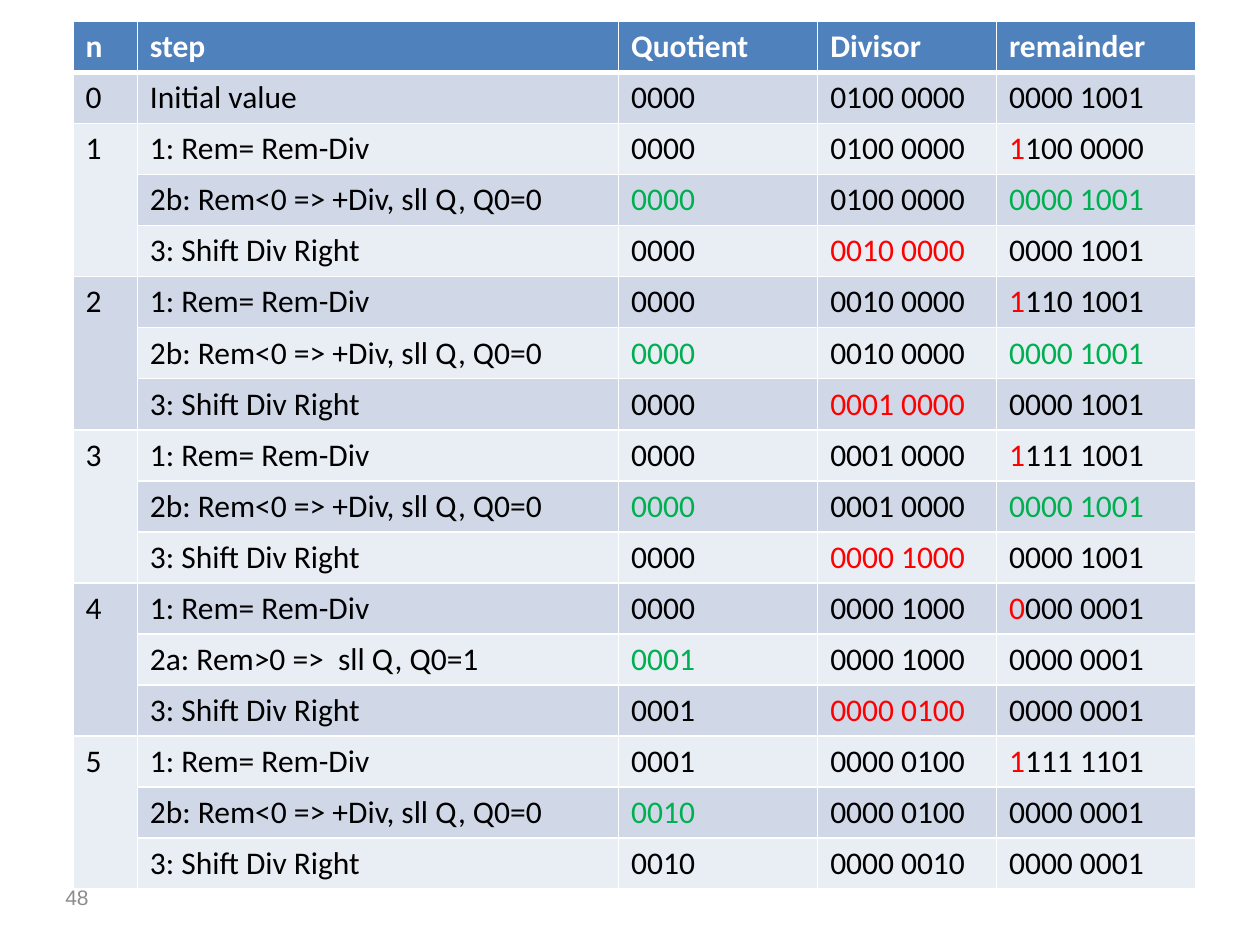
from dataclasses import dataclass

import lxml.etree
import pptx
import pptx.dml.color
import pptx.enum.text
import pptx.oxml.ns
import pptx.util

Inches = pptx.util.Inches
Pt = pptx.util.Pt


@dataclass(frozen=True)
class Theme:
    header: str = "4F81BD"
    bands: tuple = ("D0D8E8", "E9EDF4")
    white: str = "FFFFFF"
    black: str = "000000"
    red: str = "FF0000"
    green: str = "00B050"
    gray: str = "8C8C8C"
    table_font: str = "Calibri"
    number_font: str = "Arial"
    table_size: int = 18
    number_size: int = 12
    line: int = 1
    header_line: int = 3


THEME = Theme()
COLUMN_WIDTHS = (0.51, 3.82, 1.58, 1.42, 1.58)
TABLE_HEIGHT = 6.89
HEADINGS = ("n", "step", "Quotient", "Divisor", "remainder")
INITIAL = ("0", "Initial value", "0000", "0100 0000", "0000 1001")
SUBTRACT = "1: Rem= Rem-Div"
RESTORE = "2b: Rem<0 => +Div, sll Q, Q0=0"
KEEP = "2a: Rem>0 =>  sll Q, Q0=1"
SHIFT = "3: Shift Div Right"
STEPS_PER_ROUND = 3
ROUNDS = (
    (RESTORE, "0000", "0000", "0100 0000", "0010 0000", "1100 0000", "0000 1001"),
    (RESTORE, "0000", "0000", "0010 0000", "0001 0000", "1110 1001", "0000 1001"),
    (RESTORE, "0000", "0000", "0001 0000", "0000 1000", "1111 1001", "0000 1001"),
    (KEEP, "0000", "0001", "0000 1000", "0000 0100", "0000 0001", "0000 0001"),
    (RESTORE, "0001", "0010", "0000 0100", "0000 0010", "1111 1101", "0000 0001"),
)


def rgb(value):
    return pptx.dml.color.RGBColor.from_string(value)


def add_span(para, text, font, size, color, bold=False):
    span = para.add_run()
    span.text = text
    span.font.name = font
    span.font.size = Pt(size)
    span.font.bold = bold
    span.font.color.rgb = rgb(color)


def add_page_number(page, text):
    box = page.shapes.add_textbox(Inches(0.42), Inches(6.92), Inches(2.33), Inches(0.4))
    frame = box.text_frame
    frame.word_wrap = True
    frame.vertical_anchor = pptx.enum.text.MSO_ANCHOR.MIDDLE
    add_span(frame.paragraphs[0], text, THEME.number_font, THEME.number_size, THEME.gray)


def set_borders(cell, top, bottom):
    properties = cell._tc.get_or_add_tcPr()
    widths = {"lnL": THEME.line, "lnR": THEME.line, "lnT": top, "lnB": bottom}
    for side, width in widths.items():
        line = lxml.etree.SubElement(
            properties, pptx.oxml.ns.qn(f"a:{side}"), w=str(int(Pt(width)))
        )
        fill = lxml.etree.SubElement(line, pptx.oxml.ns.qn("a:solidFill"))
        lxml.etree.SubElement(fill, pptx.oxml.ns.qn("a:srgbClr"), val=THEME.white)


def style_cell(cell, row):
    top = THEME.header_line if row == 1 else THEME.line
    bottom = THEME.header_line if row == 0 else THEME.line
    set_borders(cell, top, bottom)
    cell.fill.solid()
    cell.fill.fore_color.rgb = rgb(THEME.bands[(row - 1) % 2] if row else THEME.header)


def fill_row(table, row, values, bold=False):
    for column, spans in enumerate(values):
        cell = table.cell(row, column)
        style_cell(cell, row)
        for text, color in spans:
            add_span(cell.text_frame.paragraphs[0], text, THEME.table_font,
                     THEME.table_size, color, bold)


def plain(text, color=THEME.black):
    return [(text, color)] if text else []


def round_rows(number, decision, quotient, next_quotient, divisor, next_divisor,
               difference, remainder):
    restored = decision == RESTORE and number < 4
    shift_color = THEME.red if number < len(ROUNDS) else THEME.black
    sign = plain(difference[0], THEME.red) + plain(difference[1:])
    return (
        (plain(str(number)), plain(SUBTRACT), plain(quotient), plain(divisor), sign),
        (plain(""), plain(decision), plain(next_quotient, THEME.green), plain(divisor),
         plain(remainder, THEME.green if restored else THEME.black)),
        (plain(""), plain(SHIFT), plain(next_quotient), plain(next_divisor, shift_color),
         plain(remainder)),
    )


def add_division_table(page):
    row_count = 2 + STEPS_PER_ROUND * len(ROUNDS)
    table = page.shapes.add_table(
        row_count, len(COLUMN_WIDTHS), Inches(0.58), Inches(0.17),
        Inches(sum(COLUMN_WIDTHS)), Inches(TABLE_HEIGHT),
    ).table
    for column, width in zip(table.columns, COLUMN_WIDTHS):
        column.width = Inches(width)
    for table_row in table.rows:
        table_row.height = Inches(TABLE_HEIGHT / row_count)

    fill_row(table, 0, [plain(text, THEME.white) for text in HEADINGS], bold=True)
    fill_row(table, 1, [plain(text) for text in INITIAL])
    for index, values in enumerate(ROUNDS):
        first = 2 + index * STEPS_PER_ROUND
        for offset, row_values in enumerate(round_rows(index + 1, *values)):
            fill_row(table, first + offset, row_values)
        table.cell(first, 0).merge(table.cell(first + STEPS_PER_ROUND - 1, 0))


def main():
    deck = pptx.Presentation()
    deck.slide_width = Inches(10)
    deck.slide_height = Inches(7.5)
    page = deck.slides.add_slide(deck.slide_layouts[6])
    add_page_number(page, "48")
    add_division_table(page)
    deck.save("out.pptx")


if __name__ == "__main__":
    main()
